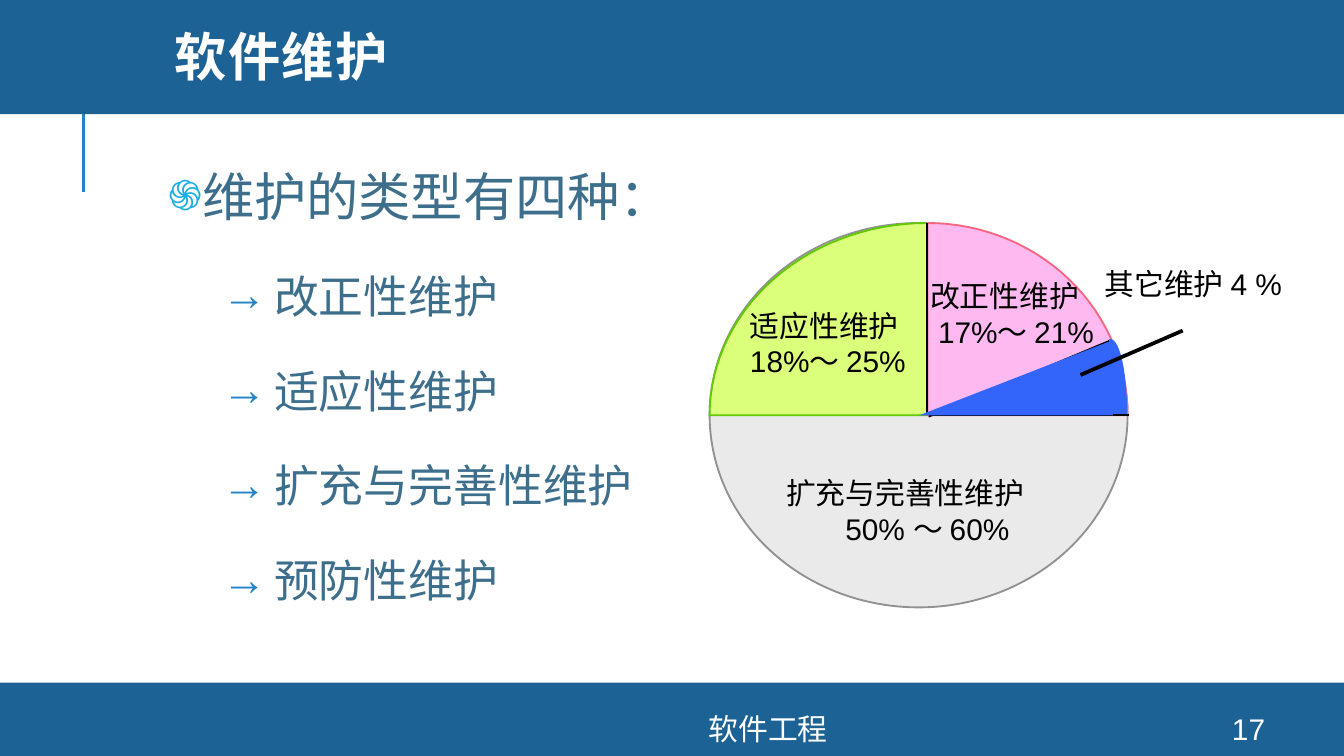
from math import cos, radians, sin

from lxml.etree import SubElement
from pptx import Presentation
from pptx.dml.color import RGBColor
from pptx.enum.shapes import MSO_CONNECTOR, MSO_SHAPE
from pptx.enum.text import MSO_ANCHOR, MSO_AUTO_SIZE, PP_ALIGN
from pptx.oxml.ns import qn
from pptx.util import Emu, Pt

PX = 9144
FONT = "Arial"
BLACK = RGBColor(0x00, 0x00, 0x00)
WHITE = RGBColor(0xFF, 0xFF, 0xFF)
BAND = RGBColor(0x1D, 0x62, 0x94)
ACCENT = RGBColor(0x26, 0x83, 0xC6)
BULLET = RGBColor(0x1C, 0xAD, 0xE4)
BODY = RGBColor(0x3D, 0x6E, 0x8C)
GRAY = RGBColor(0xEA, 0xEA, 0xEA)
GRAY_LINE = RGBColor(0x91, 0x91, 0x91)
LIME = RGBColor(0xDC, 0xFF, 0x7B)
LIME_LINE = RGBColor(0x60, 0xC9, 0x00)
PINK = RGBColor(0xFD, 0xB9, 0xF0)
PINK_LINE = RGBColor(0xF7, 0x66, 0x81)
BLUE = RGBColor(0x33, 0x65, 0xFB)


def px(value):
    return Emu(round(value * PX))


class SlideBuilder:
    def __init__(self, slide):
        self.slide = slide
        self.shapes = slide.shapes

    def paint(self, shape, fill, line=None):
        shape.shadow.inherit = False
        shape.fill.solid()
        shape.fill.fore_color.rgb = fill
        if line is None:
            shape.line.fill.background()
        else:
            shape.line.color.rgb = line
            shape.line.width = Pt(1)

    def shape(self, kind, box, fill, line=None, rotation=0):
        shape = self.shapes.add_shape(kind, *map(px, box))
        shape.rotation = rotation
        self.paint(shape, fill, line)

    def quarter(self, center, radii, start, fill, line):
        points = [
            tuple(px(c + r * f(radians(angle))) for c, r, f in zip(center, radii, (cos, sin)))
            for angle in range(start, start + 91, 3)
        ]
        builder = self.shapes.build_freeform(*points[0], scale=1.0)
        builder.add_line_segments(points[1:] + [tuple(map(px, center))], close=True)
        self.paint(builder.convert_to_shape(), fill, line)

    def line(self, start, end, color=BLACK, width=1):
        connector = self.shapes.add_connector(MSO_CONNECTOR.STRAIGHT, *map(px, start + end))
        connector.line.color.rgb = color
        connector.line.width = Pt(width)
        SubElement(connector._element.spPr, qn("a:effectLst"))

    def style(self, paragraph, size, color, bold=False):
        font = paragraph.font
        font.name, font.size, font.bold = FONT, Pt(size), bold
        font.color.rgb = color

    def frame(self, shape, insets, anchor):
        frame = shape.text_frame
        frame.word_wrap = True
        frame.auto_size = MSO_AUTO_SIZE.NONE
        frame.vertical_anchor = anchor
        frame.margin_left = frame.margin_right = px(insets[0])
        frame.margin_top = frame.margin_bottom = px(insets[1])
        return frame

    def label(self, box, lines, spacing=None, indent=0):
        frame = self.frame(self.shapes.add_textbox(*map(px, box)), (7, 4), MSO_ANCHOR.TOP)
        frame.text = "\n".join(lines)
        for paragraph in frame.paragraphs:
            self.style(paragraph, 16, BLACK)
        frame.paragraphs[0].line_spacing = spacing
        if indent:
            properties = frame.paragraphs[-1]._p.get_or_add_pPr()
            properties.set("marL", str(px(indent)))

    def footer(self, box, text):
        frame = self.frame(self.shapes.add_textbox(*map(px, box)), (10, 5), MSO_ANCHOR.MIDDLE)
        frame.text = text
        frame.paragraphs[0].alignment = PP_ALIGN.CENTER
        self.style(frame.paragraphs[0], 16, WHITE)

    def placeholder(self, index, box, insets, anchor):
        shape = self.slide.placeholders[index]
        shape.left, shape.top, shape.width, shape.height = map(px, box)
        self.shapes._spTree.append(shape._element)
        return self.frame(shape, insets, anchor)

    def title(self, box, text):
        frame = self.placeholder(0, box, (10, 5), MSO_ANCHOR.MIDDLE)
        frame.text = text
        paragraph = frame.paragraphs[0]
        paragraph.alignment = PP_ALIGN.LEFT
        paragraph.line_spacing = 0.8
        self.style(paragraph, 28, WHITE, bold=True)
        paragraph._p.pPr.find(qn("a:defRPr")).set("spc", "80")

    def bullet(self, paragraph, symbol, color, percent, margin, indent):
        properties = paragraph._p.get_or_add_pPr()
        properties.set("marL", str(px(margin)))
        properties.set("indent", str(px(indent)))
        bullet_color = SubElement(properties, qn("a:buClr"))
        SubElement(bullet_color, qn("a:srgbClr"), val=str(color))
        SubElement(properties, qn("a:buSzPct"), val=str(percent * 1000))
        SubElement(properties, qn("a:buChar"), char=symbol)

    def body(self, box, heading, items):
        frame = self.placeholder(1, box, (5, 5), MSO_ANCHOR.TOP)
        frame.text = "\n".join([heading, *items])
        for number, paragraph in enumerate(frame.paragraphs):
            if number == 0:
                self.bullet(paragraph, "֍", BULLET, 80, 7, -47)
            else:
                paragraph.level = 1
                self.bullet(paragraph, "→", ACCENT, 100, 79, -39)
            paragraph.alignment = PP_ALIGN.JUSTIFY
            paragraph.line_spacing = 1.35
            paragraph.space_before = Pt(12 if number else 0)
            self.style(paragraph, 24 if number else 28, BODY)


def main():
    presentation = Presentation()
    presentation.slide_width = px(1000)
    presentation.slide_height = presentation.slide_width * 9 // 16
    page = SlideBuilder(presentation.slides.add_slide(presentation.slide_layouts[1]))

    page.line((62, 143), (62, 68), ACCENT, 1.5)
    page.shape(MSO_SHAPE.RECTANGLE, (0, 508, 1000, 55), BAND)
    page.shape(MSO_SHAPE.RECTANGLE, (0, -3, 1000, 88), BAND)
    page.title((120, 0, 849, 91), "软件维护")
    page.body(
        (120, 101, 821, 416),
        "维护的类型有四种：",
        ["改正性维护", "适应性维护", "扩充与完善性维护", "预防性维护"],
    )
    page.footer((261, 531, 621, 23), "软件工程")
    page.footer((889, 531, 80, 23), "17")

    center = (690, 309)
    page.shape(MSO_SHAPE.OVAL, (528, 166, 311, 286), GRAY, GRAY_LINE)
    page.quarter(center, (162, 143), 180, LIME, LIME_LINE)
    page.quarter(center, (149, 143), 270, PINK, PINK_LINE)
    page.line((690, 166), center)
    page.line((691, 310), (827, 253))
    page.quarter((826, 308), (12, 55), 270, BLUE, BLUE)
    page.line((691, 309), (840, 309))
    page.shape(MSO_SHAPE.RIGHT_TRIANGLE, (728, 209, 56, 144), BLUE, rotation=270)

    page.label((815, 194, 180, 34), ["其它维护 4 %"])
    page.label((551, 230, 142, 56), ["适应性维护", "18%～ 25%"], spacing=0.8)
    page.label((685, 208, 151, 56), ["改正性维护", "17%～ 21%"], spacing=0.8, indent=6)
    page.label((578, 349, 224, 61), ["扩充与完善性维护", "50% ～ 60%"], indent=44)
    page.line((804, 279), (880, 246), BLACK, 2)

    presentation.save("out.pptx")


if __name__ == "__main__":
    main()
